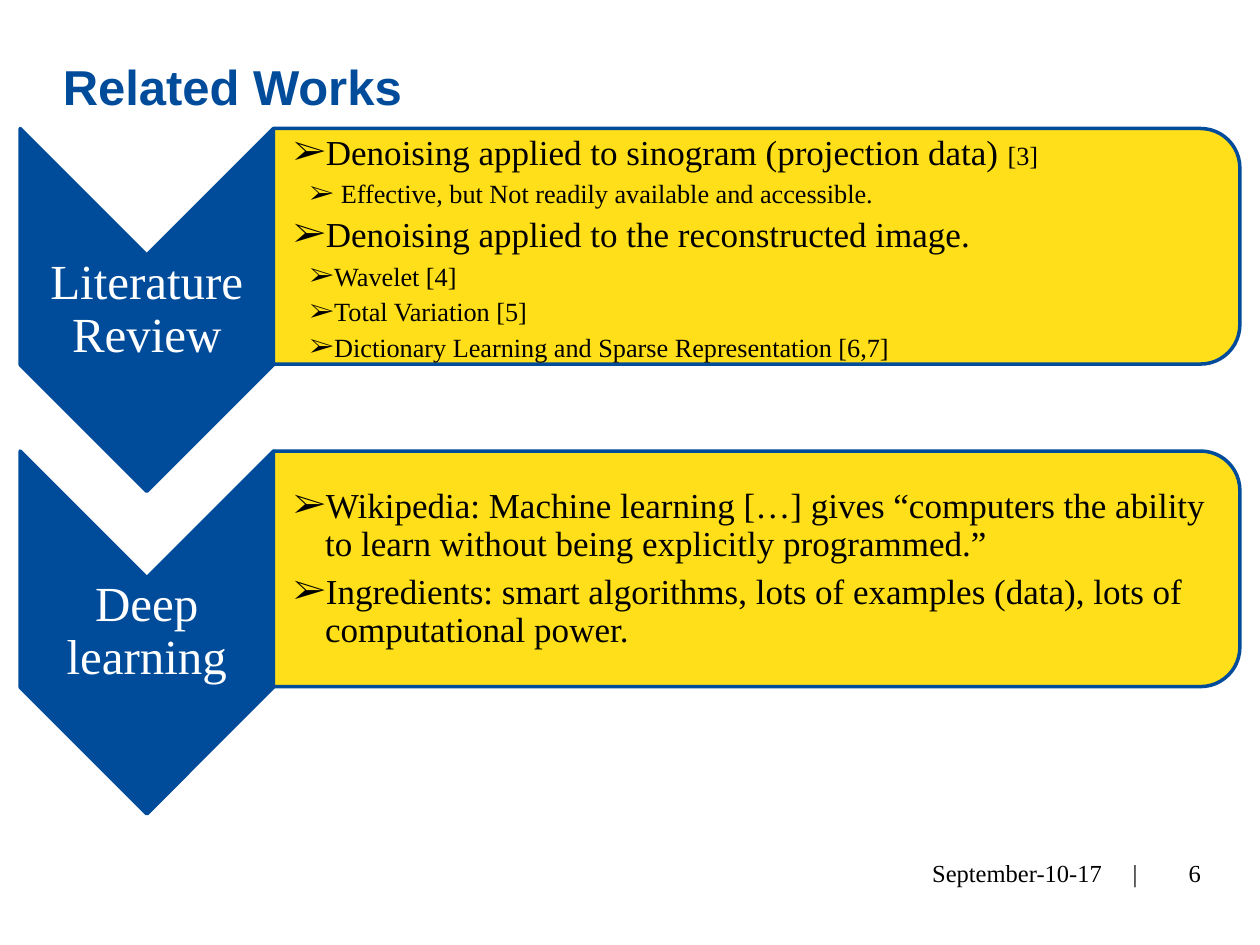
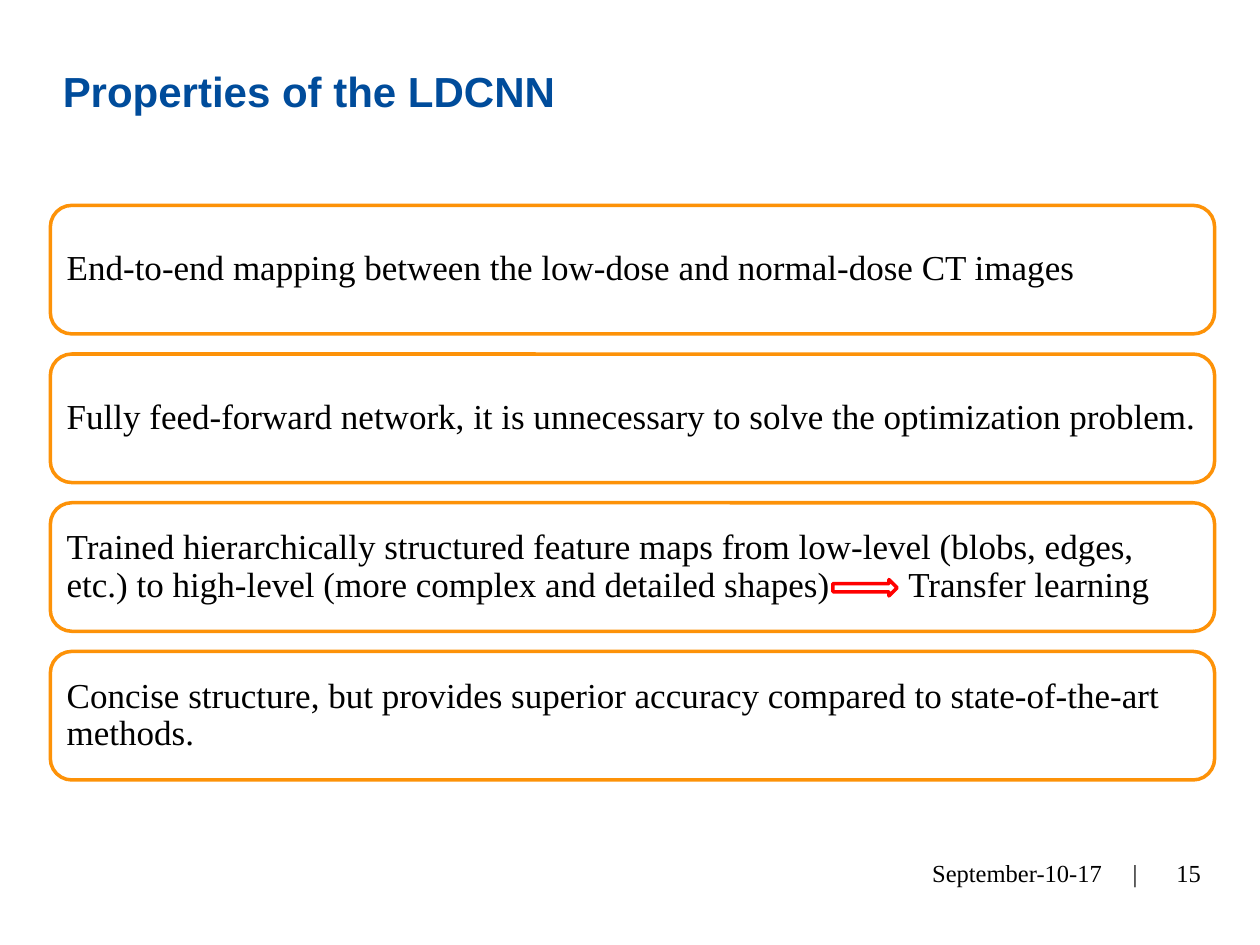
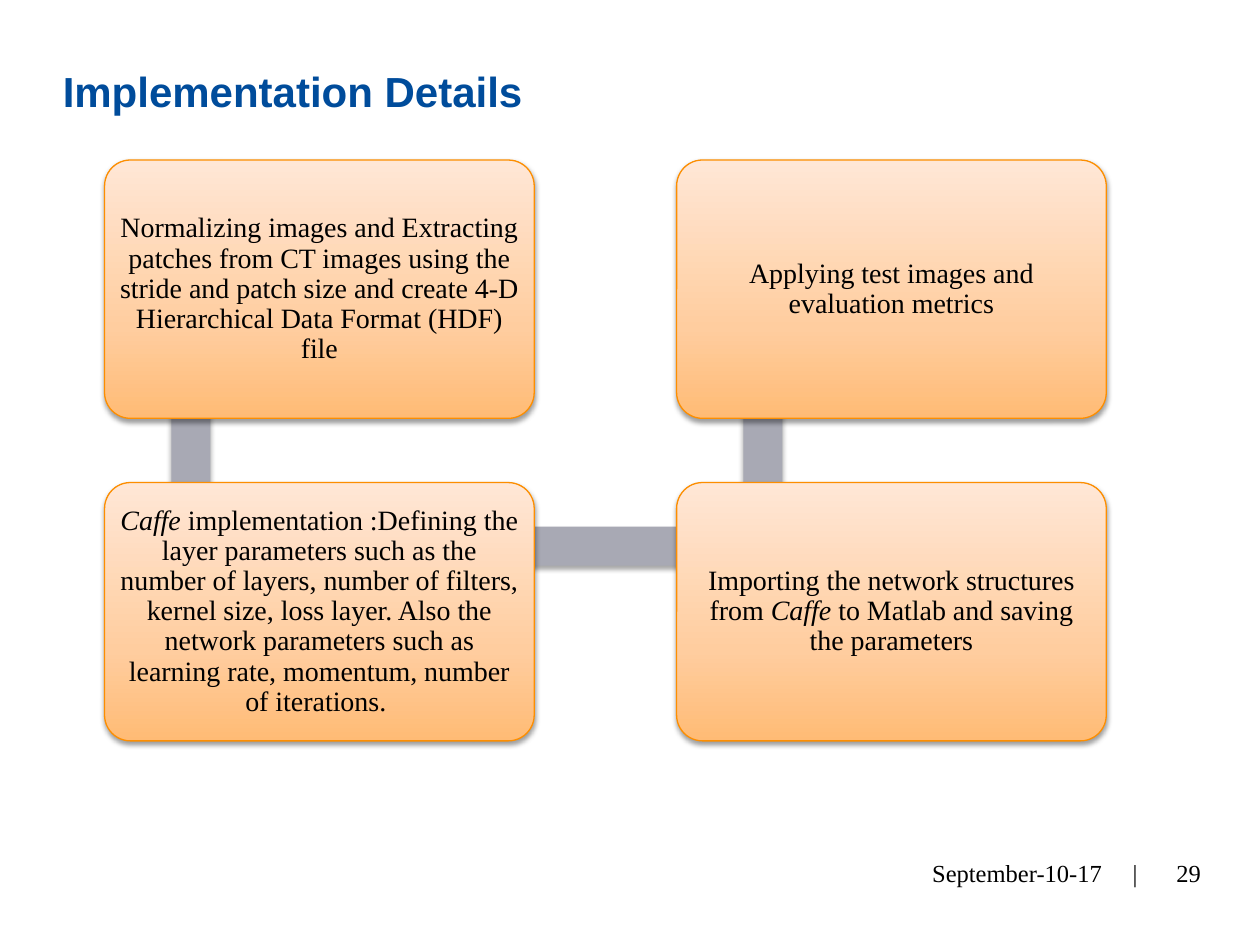
from copy import deepcopy

from lxml.etree import SubElement
from pptx import Presentation
from pptx.dml.color import RGBColor
from pptx.enum.shapes import MSO_SHAPE as Preset
from pptx.enum.text import MSO_ANCHOR as Anchor, PP_ALIGN as Align
from pptx.oxml.ns import qn
from pptx.util import Inches, Pt

# Shared look
BLUE, YELLOW, ORANGE, CARD_LINE = "004C9B", "FFDC00", "FD9208", "FD8E00"
BLACK, WHITE, RED, GRAY = "000000", "FFFFFF", "FF0000", "A8A9B4"
CARD_STOPS = [(0, "FFBB75"), (0.35, "FFCD9F"), (1, "FFE7D6")]
TITLE_FONT, BODY_FONT = "Arial", "Times New Roman"
DATE = "September-10-17"


def rgb(code):
    return RGBColor.from_string(code)


# Text
def set_frame(box, margins, anchor=Anchor.MIDDLE):
    frame = box.text_frame
    frame.word_wrap = True
    frame.vertical_anchor = anchor
    left, top, right, bottom = [Inches(margin) for margin in margins]
    frame.margin_left, frame.margin_right = left, right
    frame.margin_top, frame.margin_bottom = top, bottom
    return frame


def add_box(page, left, top, width, height, margins, anchor=Anchor.MIDDLE):
    box = page.shapes.add_textbox(
        Inches(left), Inches(top), Inches(width), Inches(height))
    return set_frame(box, margins, anchor)


def add_bullet(para, level):
    para.level = level
    props = para._p.get_or_add_pPr()
    props.set("marL", str(Inches(0.25)))
    props.set("indent", str(-Inches(0.12 if level > 1 else 0.25)))
    color = SubElement(props, qn("a:buClr"))
    SubElement(color, qn("a:srgbClr"), val=BLACK)
    SubElement(props, qn("a:buFont"), typeface=BODY_FONT)
    SubElement(props, qn("a:buChar"), char="➢")


def add_tab(para, position):
    tabs = SubElement(para._p.get_or_add_pPr(), qn("a:tabLst"))
    SubElement(tabs, qn("a:tab"), pos=str(Inches(position)), algn="l")


def write(frame, spans, size, color=BLACK, font=BODY_FONT, bold=False,
          align=Align.LEFT, spacing=None, before=0, level=0, tab=None):
    """Add a paragraph; a span is text, or text with its own font settings."""
    first = frame.paragraphs[0]
    para = frame.add_paragraph() if first.runs else first
    if level:
        add_bullet(para, level)
    if tab:
        add_tab(para, tab)
    para.alignment = align
    if spacing:
        para.line_spacing = spacing
    para.space_before = Pt(before)
    para.font.name, para.font.size, para.font.bold = font, Pt(size), bold
    para.font.color.rgb = rgb(color)
    for item in [spans] if isinstance(spans, str) else spans:
        text, settings = (item, {}) if isinstance(item, str) else item
        span = para.add_run()
        span.text = text
        for name, value in settings.items():
            setattr(span.font, name, value)


# Shapes
def add_shape(page, preset, left, top, width, height, fill=None, line=None,
              weight=2, corners=(), turned=False):
    """Place a shape by its visible bounds, even when turned by 90 degrees."""
    if turned:
        left, top = left + (width - height) / 2, top + (height - width) / 2
        width, height = height, width
    shape = page.shapes.add_shape(
        preset, Inches(left), Inches(top), Inches(width), Inches(height))
    shape.shadow.inherit = False
    shape.rotation = 90 if turned else 0
    for index, corner in enumerate(corners):
        shape.adjustments[index] = corner
    if fill:
        shape.fill.solid()
        shape.fill.fore_color.rgb = rgb(fill)
    if line:
        shape.line.color.rgb = rgb(line)
        shape.line.width = Pt(weight)
    else:
        shape.line.fill.background()
    return shape


def set_opacity(shape, percent):
    color = shape._element.spPr.find(qn("a:solidFill"))[0]
    SubElement(color, qn("a:alpha"), val=str(percent * 1000))


def set_gradient(shape, stops):
    shape.fill.gradient()
    shape.fill.gradient_angle = 90
    stop_list = shape._element.spPr.find(qn("a:gradFill")).find(qn("a:gsLst"))
    stop_list.append(deepcopy(stop_list[0]))
    for stop, (position, color) in zip(shape.fill.gradient_stops, stops):
        stop.position = position
        stop.color.rgb = rgb(color)


def add_shadow(shape, percent, distance):
    effects = shape._element.spPr.find(qn("a:effectLst"))
    shadow = SubElement(
        effects, qn("a:outerShdw"), blurRad=str(Pt(3.1)),
        dist=str(Pt(distance)), dir="5400000", rotWithShape="0")
    color = SubElement(shadow, qn("a:srgbClr"), val=BLACK)
    SubElement(color, qn("a:alpha"), val=str(percent * 1000))


# Page with title and footer
def add_page(deck, title, number, size=24, spacing=1.11):
    page = deck.slides.add_slide(deck.slide_layouts[6])
    margins = (0.1, 0.05, 0.1, 0.05)
    heading = add_box(page, 0.4, 0.43, 9.24, 1.17, margins, Anchor.TOP)
    write(heading, title, size, BLUE, TITLE_FONT, True, spacing=spacing)
    date = add_box(page, 7.3, 6.73, 1.9, 0.4, margins)
    write(date, f"{DATE}\t|", 14, tab=1.59)
    folio = add_box(page, 8.89, 6.73, 0.74, 0.4, margins)
    write(folio, str(number), 14, align=Align.RIGHT)
    return page


# Related works: chevron with a panel of bullets
def add_topic(page, top, label, points, spacing=None):
    add_shape(page, Preset.CHEVRON, 0.16, top, 2.01, 2.88, BLUE, BLUE,
              corners=[0.5], turned=True)
    caption = add_box(page, 0.16, top + 1.01, 2.01, 0.86, [0.02] * 4)
    write(caption, label, 28, WHITE, align=Align.CENTER, spacing=0.9)
    panel = add_shape(page, Preset.ROUND_2_SAME_RECTANGLE, 2.17, top, 7.67,
                      1.87, YELLOW, BLUE, corners=[0.167, 0], turned=True)
    set_opacity(panel, 90)
    frame = add_box(page, 2.17, top + 0.09, 7.58, 1.69,
                    (0.16, 0.01, 0.01, 0.01))
    for level, before, spans in points:
        write(frame, spans, 15 if level > 1 else 20, before=before,
              level=level, spacing=spacing)


def build_related_works(deck):
    page = add_page(deck, "Related Works", 6, 28, 0.95)
    add_topic(page, 1.02, "Literature Review", [
        (1, 0, ["Denoising applied to sinogram (projection data) ",
                ("[3]", {"size": Pt(15)})]),
        (2, 3, " Effective, but Not readily available and accessible."),
        (1, 2.2, "Denoising applied to the reconstructed image."),
        (2, 3, "Wavelet [4]"),
        (2, 2.2, "Total Variation [5]"),
        (2, 2.2, "Dictionary Learning and Sparse Representation [6,7]"),
    ])
    add_topic(page, 3.58, "Deep learning", [
        (1, 0, "Wikipedia: Machine learning […] gives “computers the ability "
               "to learn without being explicitly programmed.”"),
        (1, 6, "Ingredients: smart algorithms, lots of examples (data), "
               "lots of computational power."),
    ], spacing=0.9)


# Properties: a stack of outlined bars
def build_properties(deck):
    page = add_page(deck, "Properties of the LDCNN", 15)
    properties = [
        "End-to-end mapping between the low-dose and normal-dose CT images",
        "Fully feed-forward network, it is unnecessary to solve the "
        "optimization problem.",
        "Trained hierarchically structured feature maps from low-level "
        "(blobs, edges, etc.) to high-level (more complex and detailed "
        "shapes)\tTransfer learning",
        "Concise structure, but provides superior accuracy compared to "
        "state-of-the-art methods.",
    ]
    for row, text in enumerate(properties):
        bar = add_shape(page, Preset.ROUNDED_RECTANGLE, 0.4, 1.63 + 1.18 * row,
                        9.24, 1.02, WHITE, ORANGE, corners=[0.167])
        write(set_frame(bar, [0.08] * 4), text, 20, spacing=0.9,
              tab=6.68 if "\t" in text else None)
    add_shape(page, Preset.RIGHT_ARROW, 6.61, 4.6, 0.51, 0.13, WHITE, RED)


# Implementation: four cards joined by bands
def add_band(page, left, top, width, height):
    band = add_shape(page, Preset.RECTANGLE, left, top, width, height, GRAY)
    add_shadow(band, 35, 1.8)


def add_card(page, left, top, spans):
    card = add_shape(page, Preset.ROUNDED_RECTANGLE, left, top, 3.41, 2.05,
                     line=CARD_LINE, weight=0.75, corners=[0.1])
    set_gradient(card, CARD_STOPS)
    add_shadow(card, 38, 1.6)
    write(set_frame(card, [0.06] * 4), spans, 16, align=Align.CENTER,
          spacing=0.9)


def build_implementation(deck):
    page = add_page(deck, "Implementation Details", 29)
    left, right, upper, lower = 0.83, 5.37, 1.27, 3.83
    for column in (left, right):
        add_band(page, column + 0.53, 1.78, 0.31, 2.54)
    add_band(page, 1.53, 4.18, 4.52, 0.31)

    framework = ("Caffe", {"italic": True})
    add_card(page, left, upper,
             "Normalizing images and Extracting patches from CT images using "
             "the stride and patch size and create 4-D Hierarchical Data "
             "Format (HDF) file")
    add_card(page, left, lower, [
        framework,
        " implementation :Defining the layer parameters such as the number "
        "of layers, number of filters, kernel size, loss layer. Also the "
        "network parameters such as learning rate, momentum, number of "
        "iterations. "])
    add_card(page, right, lower, [
        "Importing the network structures from ", framework,
        " to Matlab and saving the parameters"])
    add_card(page, right, upper, "Applying test images and evaluation metrics")


def main():
    deck = Presentation()
    deck.slide_width, deck.slide_height = Inches(10), Inches(7.5)
    build_related_works(deck)
    build_properties(deck)
    build_implementation(deck)
    deck.save("out.pptx")


if __name__ == "__main__":
    main()
